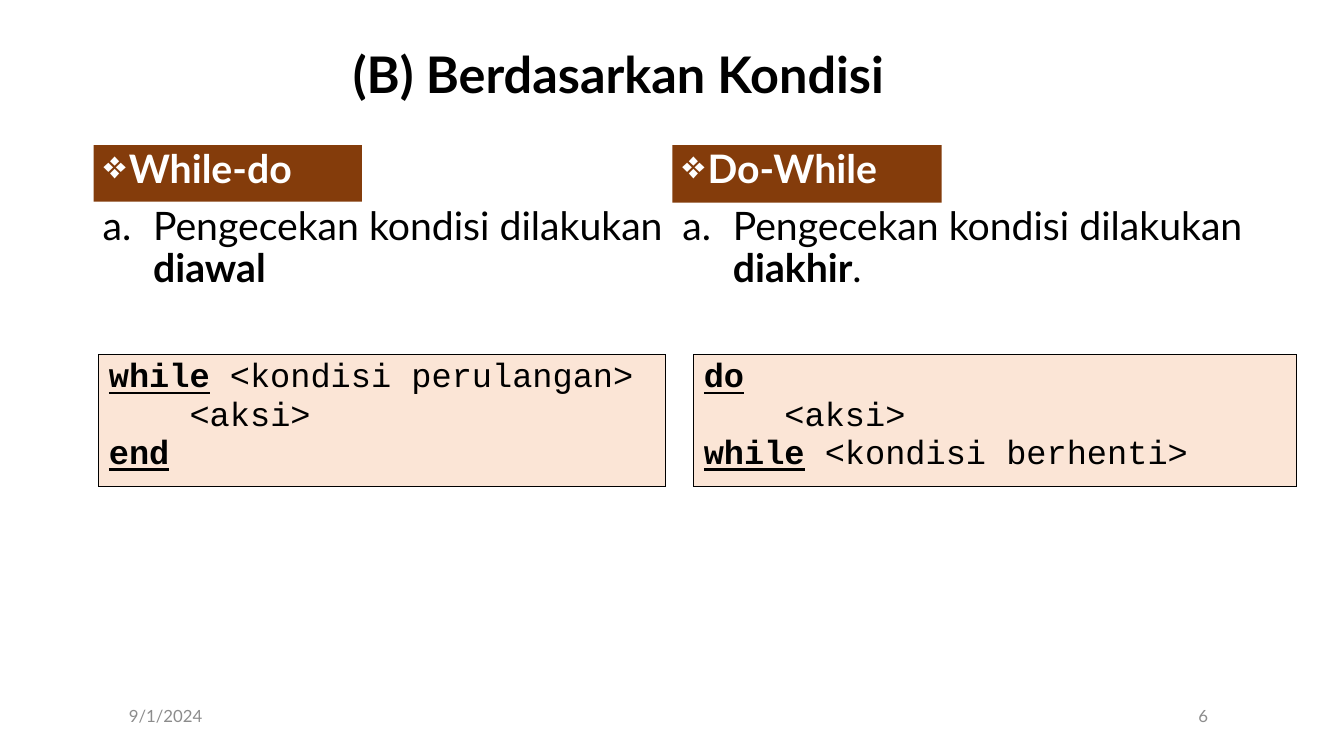
from lxml.etree import SubElement
from pptx import Presentation
from pptx.dml.color import RGBColor
from pptx.enum.shapes import MSO_SHAPE as Shape
from pptx.enum.text import MSO_ANCHOR as Anchor, MSO_AUTO_SIZE as AutoSize, PP_ALIGN as Align
from pptx.oxml.ns import qn
from pptx.util import Pt

EMU_PER_PX = 9144  # 100 px to the inch


def px(length):
    return length * EMU_PER_PX


def color(hex_string):
    return RGBColor.from_string(hex_string)


class LoopSlide:
    FONT, CODE_FONT = "Lato", "Courier New"
    BLACK, WHITE, GREY = "000000", "FFFFFF", "8C8C8C"
    BROWN, PEACH = "843C0B", "FBE5D6"

    def __init__(self, deck):
        self.page = deck.slides.add_slide(deck.slide_layouts[5])

    def add_runs(self, para, runs, size, ink, font=FONT):
        """Add runs given as (text, style letters): b is bold, u is underlined."""
        for text, style in runs:
            span = para.add_run()
            span.text = text
            span.font.name = font
            span.font.size = Pt(size)
            span.font.bold = "b" in style
            span.font.underline = "u" in style
            span.font.color.rgb = color(ink)

    def bullet(self, para, indent, tag, **attributes):
        properties = para._p.get_or_add_pPr()
        properties.set("marL", str(px(indent)))
        properties.set("indent", str(-px(indent)))
        SubElement(properties, qn(tag), attributes)
        para.line_spacing = 0.9

    def text_box(self, left, top, width, height, anchor=Anchor.TOP):
        frame = self.page.shapes.add_textbox(px(left), px(top), px(width), px(height)).text_frame
        frame.word_wrap = True
        frame.vertical_anchor = anchor
        return frame.paragraphs[0]

    def title(self, text, left, top, width, height):
        box = self.page.shapes.title
        box.left, box.top, box.width, box.height = map(px, (left, top, width, height))
        frame = box.text_frame
        frame.auto_size = AutoSize.NONE
        frame.vertical_anchor = Anchor.MIDDLE
        para = frame.paragraphs[0]
        para.alignment = Align.CENTER
        para.line_spacing = 0.9
        self.add_runs(para, [(text, "b")], 36, self.BLACK)

    def heading(self, text, left, top, width, height):
        box = self.page.shapes.add_shape(Shape.RECTANGLE, px(left), px(top), px(width), px(height))
        box.shadow.inherit = False
        box.fill.solid()
        box.fill.fore_color.rgb = color(self.BROWN)
        box.line.fill.background()
        box.text_frame.vertical_anchor = Anchor.TOP
        para = box.text_frame.paragraphs[0]
        para.alignment = Align.LEFT
        self.bullet(para, 25, "a:buChar", char="❖")
        self.add_runs(para, [(text, "b")], 28, self.WHITE)

    def explanation(self, runs, left, top, width, height):
        para = self.text_box(left, top, width, height)
        self.bullet(para, 50, "a:buAutoNum", type="alphaLcPeriod")
        self.add_runs(para, runs, 28, self.BLACK)

    def code_table(self, lines, left, top, width, height):
        table = self.page.shapes.add_table(1, 1, px(left), px(top), px(width), px(height)).table
        table.first_row = table.horz_banding = False
        cell = table.cell(0, 0)
        properties = cell._tc.get_or_add_tcPr()
        for side in ("a:lnL", "a:lnR", "a:lnT", "a:lnB"):
            border = SubElement(properties, qn(side), w=str(Pt(1)))
            SubElement(SubElement(border, qn("a:solidFill")), qn("a:srgbClr"), val=self.BLACK)
        cell.fill.solid()
        cell.fill.fore_color.rgb = color(self.PEACH)
        for number, runs in enumerate(lines):
            frame = cell.text_frame
            para = frame.add_paragraph() if number else frame.paragraphs[0]
            self.add_runs(para, runs, 24, self.BLACK, self.CODE_FONT)

    def footer(self, text, left, width, align):
        para = self.text_box(left, 690, width, 40, Anchor.MIDDLE)
        para.alignment = align
        self.add_runs(para, [(text, "")], 12, self.GREY)


def main():
    deck = Presentation()
    deck.slide_width, deck.slide_height = px(1333), px(750)
    slide = LoopSlide(deck)
    slide.title("(B) Berdasarkan Kondisi", 118, 40, 991, 74)

    # Loop that checks first
    check = "Pengecekan kondisi dilakukan "
    action = [("    <aksi>", "")]
    slide.heading("While-do", 93, 144, 266, 56)
    slide.explanation([(check, ""), ("diawal", "b")], 92, 200, 575, 323)
    slide.code_table(
        [[("while", "bu"), (" <kondisi perulangan>", "")], action, [("end", "bu")]],
        98, 352, 562, 131)

    # Loop that checks last
    slide.heading("Do-While", 667, 144, 267, 57)
    slide.explanation([(check, ""), ("diakhir", "b"), (".", "")], 667, 200, 641, 323)
    slide.code_table(
        [[("do", "bu")], action, [("while", "bu"), (" <kondisi berhenti>", "")]],
        688, 352, 598, 131)

    # Date and page number
    slide.footer("9/1/2024", 118, 151, Align.LEFT)
    slide.footer("6", 275, 933, Align.RIGHT)
    deck.save("out.pptx")


if __name__ == "__main__":
    main()
